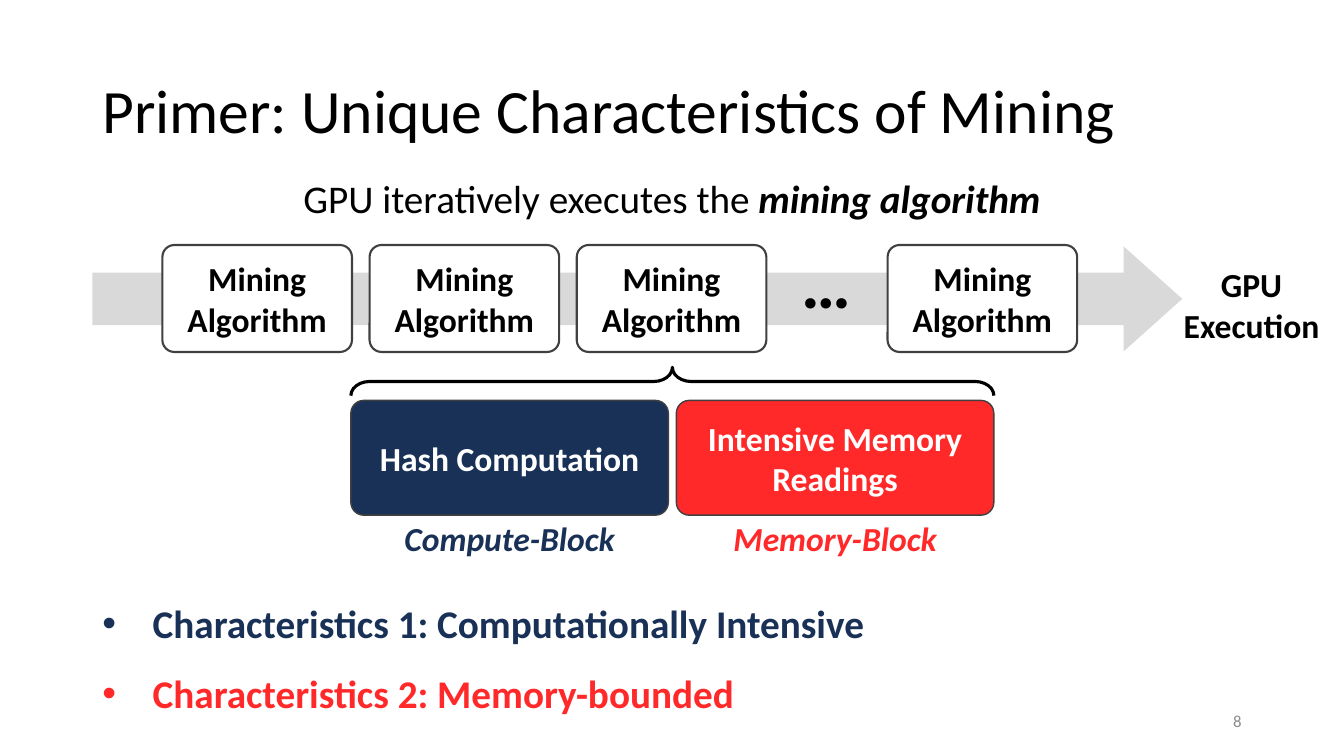
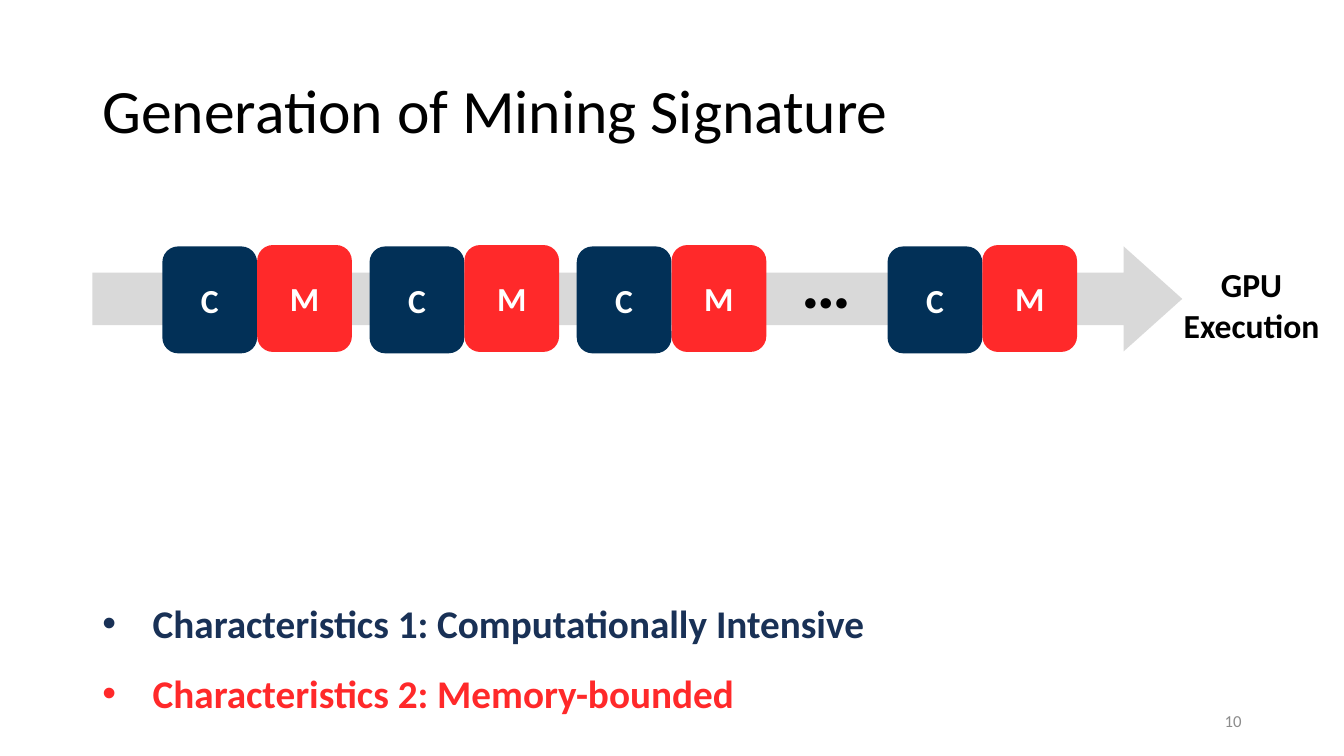
from lxml import etree
from pptx import Presentation
from pptx.dml.color import RGBColor
from pptx.enum import shapes, text
from pptx.oxml import ns
from pptx.util import Pt

# Content
PRIMER = {"title": "Primer: Unique Characteristics of Mining", "number": "8"}
SIGNATURE = {"title": "Generation of Mining Signature", "number": "10"}
LEAD = ("GPU iteratively executes the ", "mining algorithm")
ITERATION = "Mining\nAlgorithm"
PHASES = [  # text, caption, colour
    ("Hash Computation", "Compute-Block", "navy"),
    ("Intensive Memory Readings", "Memory-Block", "red"),
]
HALVES = [("C", "deep navy", 176), ("M", "red", 175)]  # text, colour, top
CHARACTERISTICS = [
    ("Characteristics 1: Computationally Intensive", "navy"),
    ("Characteristics 2: Memory-bounded", "red"),
]

# Shared style
FONT = "Calibri"
COLORS = {
    "black": "000000", "white": "FFFFFF", "navy": "193156",
    "deep navy": "023057", "red": "FF292A", "band": "D9D9D9",
    "outline": "404040", "number": "8C8C8C",
}
SHAPE = shapes.MSO_SHAPE
ALIGN = text.PP_ALIGN
MIDDLE = text.MSO_ANCHOR.MIDDLE
MARGIN = 66

# Timeline grid: the ellipsis takes the place between the last two iterations
STEP, ITERATION_W, ITERATION_H, ITERATION_TOP = 148, 135.4, 76.4, 175
ITERATION_LEFTS = [116 + STEP * step for step in (0, 1, 2, 3.5)]

# Phase grid
PHASE_LEFT, PHASE_TOP, PHASE_W, PHASE_H, PHASE_GAP = 250.6, 286, 226.8, 82, 5.7
BRACE_TOP, BRACE_H = 262.4, 20.2


def color(name):
    return RGBColor.from_string(COLORS[name])


def style(font, size, tint, bold=False, italic=False):
    font.name, font.size = FONT, Pt(size)
    font.bold, font.italic = bold, italic
    font.color.rgb = color(tint)


def write(frame, words, size, tint, align=ALIGN.CENTER, anchor=None, **look):
    frame.word_wrap = True
    frame.text = words
    if anchor is not None:
        frame.vertical_anchor = anchor
    for paragraph in frame.paragraphs:
        paragraph.alignment = align
        for run in paragraph.runs:
            style(run.font, size, tint, **look)


def add_label(slide, box, words, size, tint, **look):
    label = slide.shapes.add_textbox(*map(Pt, box))
    write(label.text_frame, words, size, tint, **look)
    return label


def add_figure(slide, kind, box, fill=None, line=None, width=1, adjust=()):
    figure = slide.shapes.add_shape(kind, *map(Pt, box))
    figure.shadow.inherit = False
    if fill:
        figure.fill.solid()
        figure.fill.fore_color.rgb = color(fill)
    else:
        figure.fill.background()
    if line:
        figure.line.color.rgb = color(line)
        figure.line.width = Pt(width)
    else:
        figure.line.fill.background()
    for index, value in enumerate(adjust):
        figure.adjustments[index] = value
    return figure


def add_block(slide, box, words, tint, fill, **look):
    block = add_figure(slide, SHAPE.ROUNDED_RECTANGLE, box, fill, **look)
    write(block.text_frame, words, 24, tint, anchor=MIDDLE, bold=True)


def add_characteristics(slide):
    frame = slide.shapes.add_textbox(
        Pt(MARGIN), Pt(407.5), Pt(661), Pt(103.7)).text_frame
    frame.word_wrap = True
    frame.text = "\n".join(words for words, _ in CHARACTERISTICS)
    for paragraph, (_, tint) in zip(frame.paragraphs, CHARACTERISTICS):
        properties = paragraph._p.get_or_add_pPr()
        properties.set("marL", str(Pt(36)))
        properties.set("indent", str(-Pt(36)))
        font = etree.SubElement(properties, ns.qn("a:buFont"))
        font.set("typeface", "Arial")
        bullet = etree.SubElement(properties, ns.qn("a:buChar"))
        bullet.set("char", "•")
        paragraph.line_spacing = 1.5
        for run in paragraph.runs:
            style(run.font, 28, tint, bold=True)


def add_timeline(slide):
    add_figure(slide, SHAPE.RIGHT_ARROW, (MARGIN, 176, 778.5, 75), "band",
               adjust=(0.5, 0.558))
    add_label(slide, (559.5, 166.5, 61, 67.7), "…", 50, "black",
              anchor=MIDDLE, bold=True)
    add_label(slide, (819.5, 185.3, 149, 65.5), "GPU Execution", 24, "black",
              bold=True)


def add_base(deck, content):
    slide = deck.slides.add_slide(deck.slide_layouts[5])
    title = slide.shapes.title
    title.left, title.top, title.width, title.height = map(
        Pt, (MARGIN, 28.8, 828, 104.4))
    write(title.text_frame, content["title"], 44, "black",
          align=ALIGN.LEFT, anchor=MIDDLE)
    title.text_frame.paragraphs[0].line_spacing = 0.9
    add_characteristics(slide)
    add_timeline(slide)
    add_label(slide, (678, 500.5, 216, 28.8), content["number"], 12, "number",
              align=ALIGN.RIGHT, anchor=MIDDLE)
    return slide


def build_primer(deck):
    slide = add_base(deck, PRIMER)

    # Lead sentence
    lead = add_label(slide, (155, 121, 650, 41), LEAD[0], 28, "black")
    emphasis = lead.text_frame.paragraphs[0].add_run()
    emphasis.text = LEAD[1]
    style(emphasis.font, 28, "black", bold=True, italic=True)

    # Iterations
    for left in ITERATION_LEFTS:
        add_block(slide, (left, ITERATION_TOP, ITERATION_W, ITERATION_H),
                  ITERATION, "black", "white", line="outline", width=1.5,
                  adjust=(0.112,))

    # Phases of one iteration, with captions
    for index, (words, caption, tint) in enumerate(PHASES):
        left = PHASE_LEFT + index * (PHASE_W + PHASE_GAP)
        add_block(slide, (left, PHASE_TOP, PHASE_W, PHASE_H), words, "white",
                  tint, line="outline", adjust=(0.112,))
        add_label(slide, (left, 366.5, PHASE_W, 36), caption, 24, tint,
                  bold=True, italic=True)

    # Brace over both phases: a left brace turned about its centre
    span = 2 * PHASE_W + PHASE_GAP
    box = (PHASE_LEFT + (span - BRACE_H) / 2,
           BRACE_TOP + (BRACE_H - span) / 2, BRACE_H, span)
    brace = add_figure(slide, SHAPE.LEFT_BRACE, box, line="black", width=2.25,
                       adjust=(0.661, 0.5))
    brace.rotation = 90


def build_signature(deck):
    slide = add_base(deck, SIGNATURE)
    half = ITERATION_W / 2
    for left in ITERATION_LEFTS:
        for index, (letter, fill, top) in enumerate(HALVES):
            add_block(slide, (left + index * half, top, half, ITERATION_H),
                      letter, "white", fill)


def main():
    deck = Presentation()
    deck.slide_width, deck.slide_height = Pt(960), Pt(540)
    build_primer(deck)
    build_signature(deck)
    deck.save("out.pptx")


if __name__ == "__main__":
    main()
